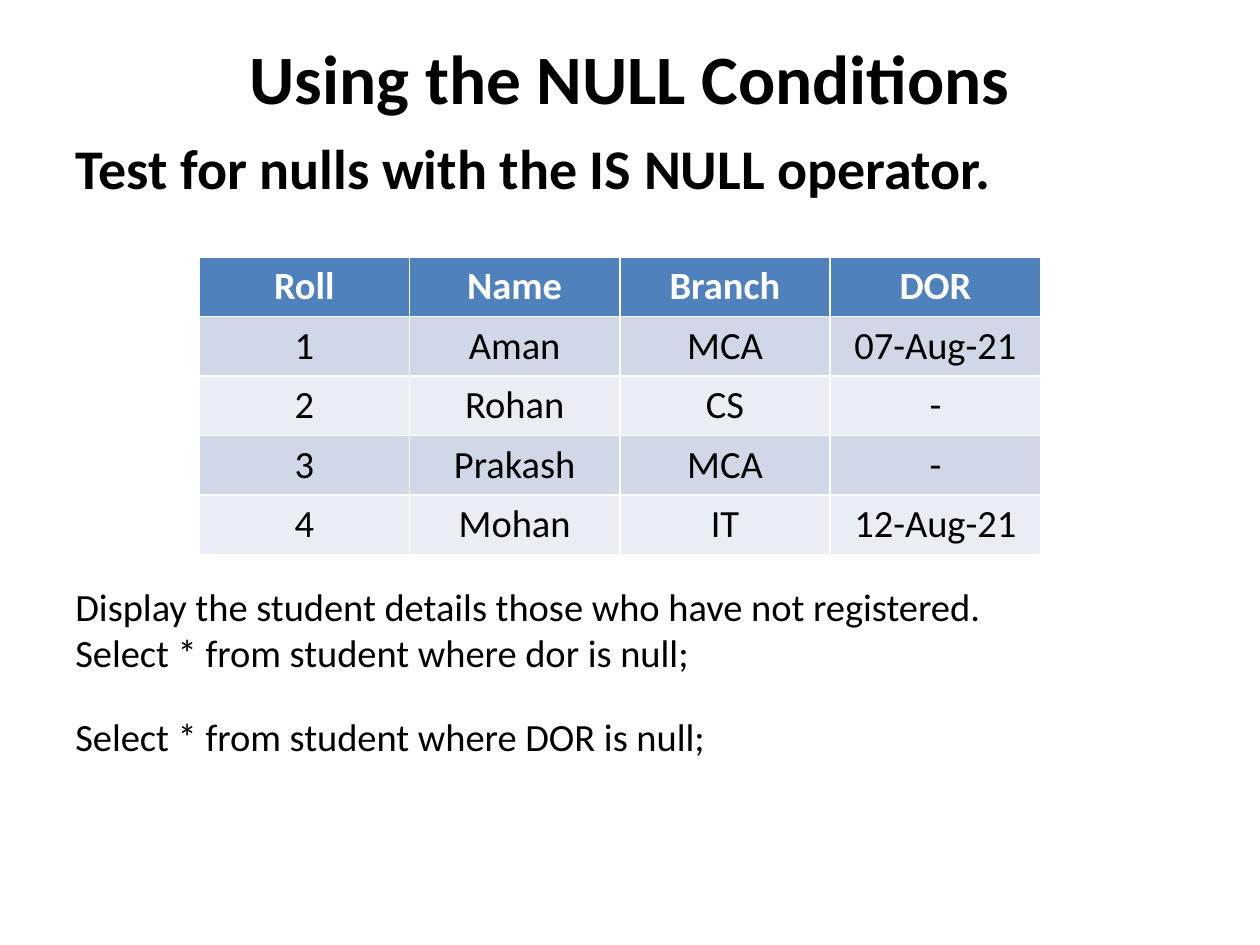
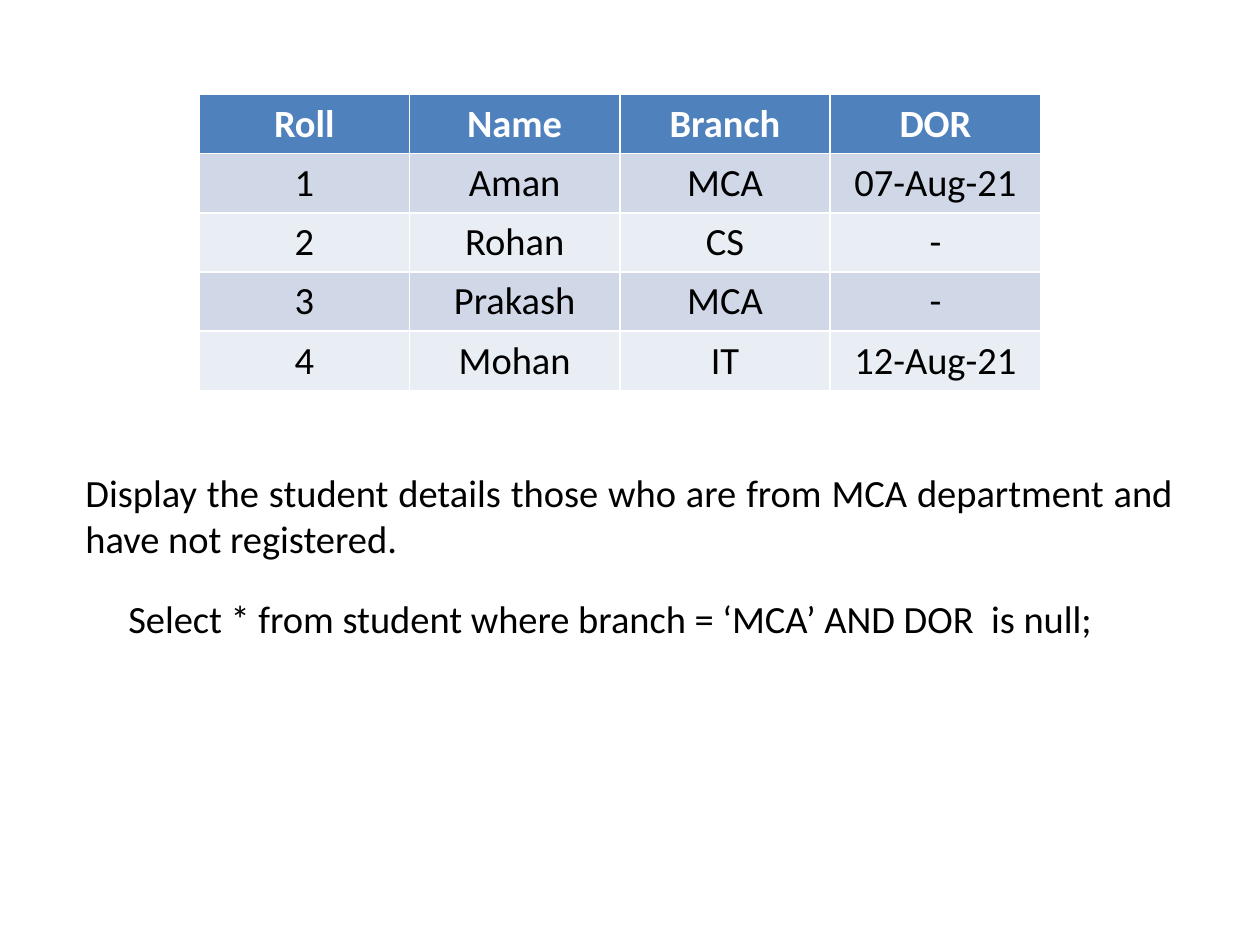
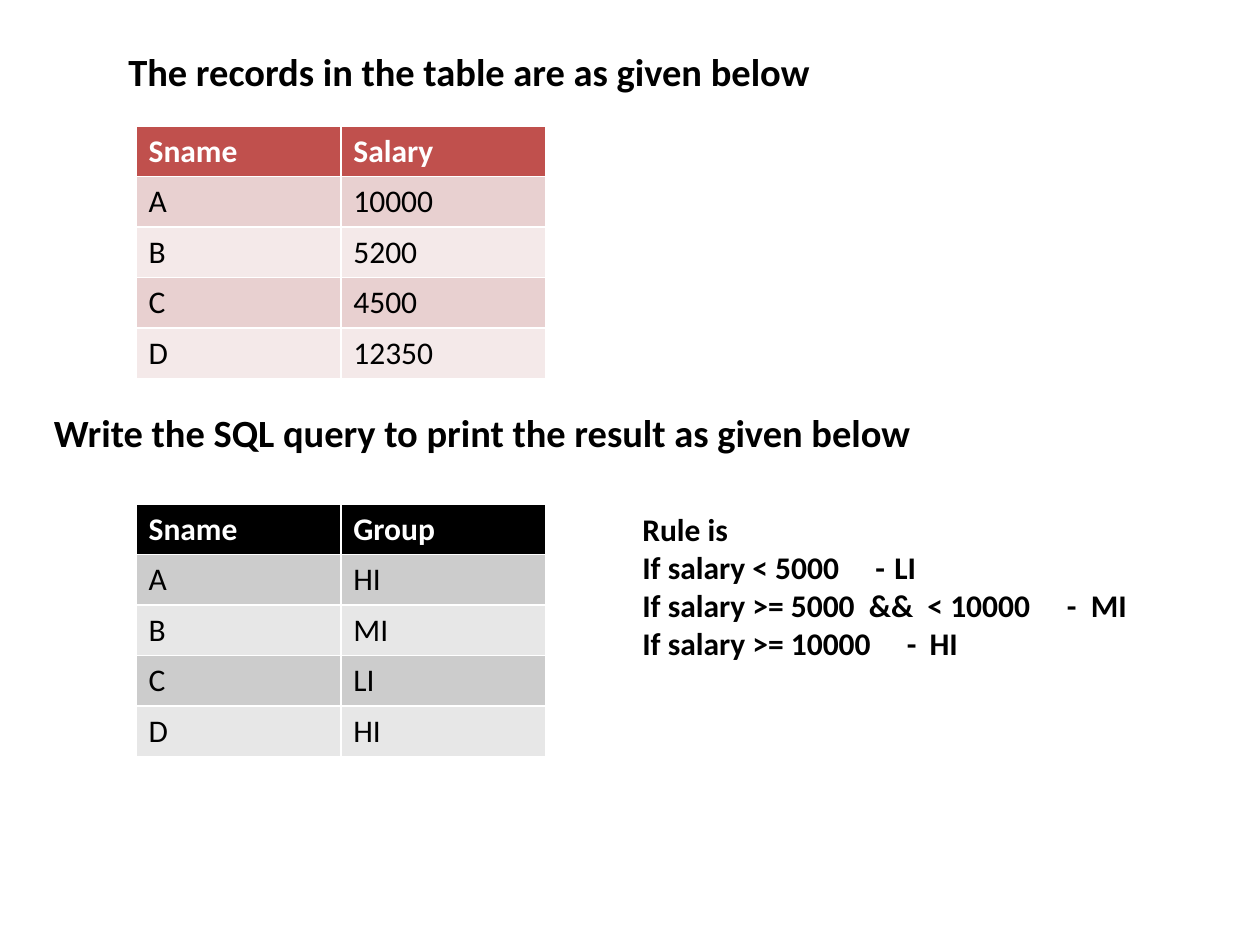
from lxml.etree import SubElement
from pptx import Presentation
from pptx.dml.color import RGBColor
from pptx.enum.text import MSO_ANCHOR, PP_ALIGN
from pptx.oxml.ns import qn
from pptx.util import Inches, Pt

color = RGBColor.from_string
FONT = "Calibri"
BLACK, WHITE = "000000", "FFFFFF"
# Header, odd-row and even-row fills
BLUE = ("4F81BD", "D0D8E8", "E9EDF4")
RED = ("C0504D", "E8D0D0", "F4E9E9")
GRAY = (BLACK, "CCCCCC", "E7E7E7")

STUDENTS = [
    ("Roll", "Name", "Branch", "DOR"),
    ("1", "Aman", "MCA", "07-Aug-21"),
    ("2", "Rohan", "CS", "-"),
    ("3", "Prakash", "MCA", "-"),
    ("4", "Mohan", "IT", "12-Aug-21"),
]
SALARIES = [("Sname", "Salary"), ("A", "10000"), ("B", "5200"), ("C", "4500"), ("D", "12350")]
GROUPS = [("Sname", "Group"), ("A", "HI"), ("B", "MI"), ("C", "LI"), ("D", "HI")]
# Condition, group, and the tab stops of the dash and the group
RULES = [
    ("If salary < 5000", "LI", 1.85, 2),
    ("If salary >= 5000  &&  < 10000", "MI", 3.37, 3.56),
    ("If salary >= 10000", "HI", 2.1, 2.28),
]


def add_text(slide, text, left, top, width, height, size=22, bold=False, align=PP_ALIGN.LEFT):
    """Add a wrapped text box with one paragraph per line and return its frame."""
    box = slide.shapes.add_textbox(Inches(left), Inches(top), Inches(width), Inches(height))
    frame = box.text_frame
    frame.word_wrap = True
    frame.text = text
    for paragraph in frame.paragraphs:
        paragraph.alignment = align
        font = paragraph.runs[0].font
        font.name, font.size, font.bold = FONT, Pt(size), bold
        font.color.rgb = color(BLACK)
    return frame


def add_records(slide, records, fills, left, top, column_width, row_height, size, align):
    """Add a table with a header row and two alternating row fills."""
    rows, columns = len(records), len(records[0])
    table = slide.shapes.add_table(
        rows, columns, Inches(left), Inches(top),
        Inches(column_width * columns), Inches(row_height * rows)).table
    for row, record in enumerate(records):
        is_header = row == 0
        fill = fills[0] if is_header else fills[2 - row % 2]
        for column, value in enumerate(record):
            cell = table.cell(row, column)
            cell.fill.solid()
            cell.fill.fore_color.rgb = color(fill)
            cell.text_frame.text = value
            paragraph = cell.text_frame.paragraphs[0]
            paragraph.alignment = align
            font = paragraph.runs[0].font
            font.name, font.size, font.bold = FONT, Pt(size), is_header
            font.color.rgb = color(WHITE if is_header else BLACK)


presentation = Presentation()
presentation.slide_width, presentation.slide_height = Inches(10), Inches(7.5)
null_slide, filter_slide, salary_slide = [
    presentation.slides.add_slide(presentation.slide_layouts[6]) for _ in range(3)]

# Student table on the first two slides
for slide, top in ((null_slide, 2.04), (filter_slide, 0.75)):
    add_records(slide, STUDENTS, BLUE, 1.58, top, 1.67, 0.47, 22, PP_ALIGN.CENTER)

# Slide 1: the IS NULL operator
title = add_text(null_slide, "Using the NULL Conditions", 0.5, 0.3, 9, 0.62,
                 size=39.6, bold=True, align=PP_ALIGN.CENTER)
title.vertical_anchor = MSO_ANCHOR.MIDDLE
add_text(null_slide, "Test for nulls with the IS NULL operator.", 0.5, 1.01, 9, 0.66,
         size=32, bold=True)
add_text(null_slide, "Display the student details those who have not registered.\n"
         "Select * from student where dor is null;", 0.5, 4.58, 8.5, 0.84)
add_text(null_slide, "Select * from student where DOR is null;", 0.5, 5.61, 8.5, 0.47)

# Slide 2: IS NULL with a second condition
add_text(filter_slide, "Display the student details those who are from MCA department "
         "and have not registered.", 0.58, 3.67, 8.83, 0.84, align=PP_ALIGN.JUSTIFY)
add_text(filter_slide, "Select * from student where branch = ‘MCA’ AND DOR  is null;",
         0.92, 4.67, 8.5, 0.47)

# Slide 3: salary groups
for records, fills, top in ((SALARIES, RED, 1), (GROUPS, GRAY, 4)):
    add_records(salary_slide, records, fills, 1.08, top, 1.625, 0.4, 18, PP_ALIGN.LEFT)
add_text(salary_slide, "The records in the table are as given below",
         0.92, 0.33, 6.83, 0.47, bold=True)
add_text(salary_slide, "Write the SQL query to print the result as given below",
         0.33, 3.2, 7.58, 0.47, bold=True)
rule_lines = ["Rule is"] + [f"{condition}\t-\t{group}" for condition, group, *_ in RULES]
rules = add_text(salary_slide, "\n".join(rule_lines), 5, 4, 4.17, 1.31, size=18, bold=True)
for paragraph, (_, _, *stops) in zip(rules.paragraphs[1:], RULES):
    tab_list = SubElement(paragraph._p.get_or_add_pPr(), qn("a:tabLst"))
    for stop in stops:
        SubElement(tab_list, qn("a:tab"), pos=str(Inches(stop)), algn="l")

presentation.save("out.pptx")
